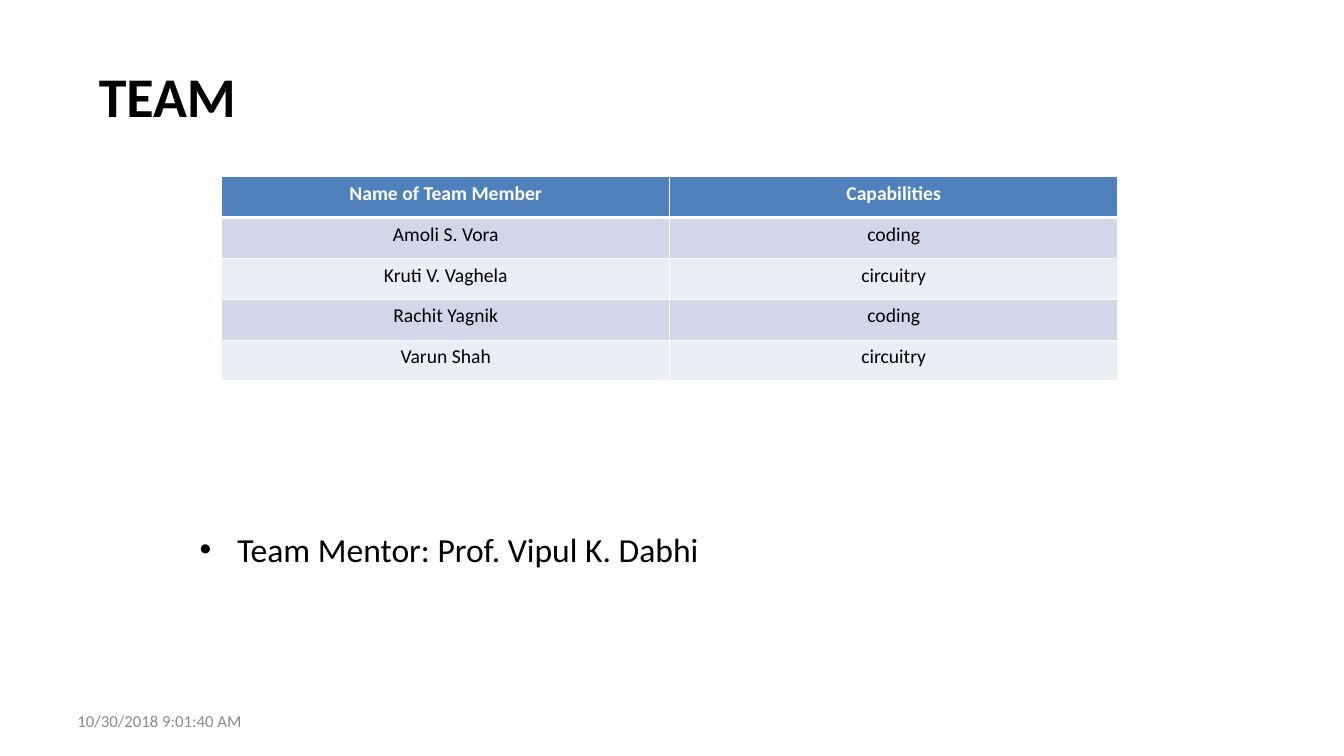
from lxml.etree import SubElement
from pptx import Presentation
from pptx.dml.color import RGBColor
from pptx.enum.text import MSO_ANCHOR, PP_ALIGN
from pptx.oxml.ns import qn
from pptx.util import Cm, Pt

TITLE = "TEAM"
TEAM = [
    ("Name of Team Member", "Capabilities"),
    ("Amoli S. Vora", "coding"),
    ("Kruti V. Vaghela", "circuitry"),
    ("Rachit Yagnik", "coding"),
    ("Varun Shah", "circuitry"),
]
MENTOR = "Team Mentor: Prof. Vipul K. Dabhi"
DATE = "10/30/2018 9:01:40 AM"

FONT = "Calibri"
BLACK = RGBColor(0x00, 0x00, 0x00)
WHITE = RGBColor(0xFF, 0xFF, 0xFF)
GRAY = RGBColor(0x8C, 0x8C, 0x8C)
HEADER_BLUE = RGBColor(0x4F, 0x81, 0xBD)
BANDS = [RGBColor(0xE9, 0xED, 0xF4), RGBColor(0xD0, 0xD8, 0xE8)]

COLUMN_WIDTH = Cm(11.29)
ROW_HEIGHT = Cm(1.03)


def style(para, size, color, bold=False):
    para.font.name = FONT
    para.font.size = Pt(size)
    para.font.color.rgb = color
    para.font.bold = bold


def add_text(page, text, place, size, color, anchor=MSO_ANCHOR.TOP, bold=False):
    box = page.shapes.add_textbox(*(Cm(length) for length in place))
    frame = box.text_frame
    frame.word_wrap = True
    frame.vertical_anchor = anchor
    para = frame.paragraphs[0]
    para.text = text
    style(para, size, color, bold)
    return frame


def add_bullet(para, indent):
    properties = para._p.get_or_add_pPr()
    properties.set("marL", str(indent))
    properties.set("indent", str(-indent))
    SubElement(properties, qn("a:buFont"), typeface="Arial")
    SubElement(properties, qn("a:buChar"), char="•")


def set_borders(cell, bottom_width):
    properties = cell._tc.get_or_add_tcPr()
    widths = {"a:lnL": 1, "a:lnR": 1, "a:lnT": 1, "a:lnB": bottom_width}
    for position, (side, width) in enumerate(widths.items()):
        line = SubElement(properties, qn(side), w=str(Pt(width)))
        fill = SubElement(line, qn("a:solidFill"))
        SubElement(fill, qn("a:srgbClr"), val=str(WHITE))
        properties.insert(position, line)


def add_team_table(page):
    columns = len(TEAM[0])
    table = page.shapes.add_table(
        len(TEAM), columns, Cm(5.59), Cm(4.45),
        COLUMN_WIDTH * columns, ROW_HEIGHT * len(TEAM)).table
    for row, texts in enumerate(TEAM):
        header = row == 0
        # The header's thick rule is also the top edge of the first body row.
        for column, text in enumerate(texts):
            cell = table.cell(row, column)
            cell.text = text
            cell.fill.solid()
            cell.fill.fore_color.rgb = HEADER_BLUE if header else BANDS[row % 2]
            para = cell.text_frame.paragraphs[0]
            para.alignment = PP_ALIGN.CENTER
            style(para, 14, WHITE if header else BLACK, header)
            set_borders(cell, 3 if header else 1)


def main():
    deck = Presentation()
    deck.slide_width, deck.slide_height = Cm(33.87), Cm(19.05)
    page = deck.slides.add_slide(deck.slide_layouts[6])

    add_text(page, TITLE, (2.24, 1.42, 23.88, 2.46), 40, BLACK, bold=True)
    mentor = add_text(page, MENTOR, (4.78, 10.64, 23.88, 4.78), 24, BLACK,
                      MSO_ANCHOR.BOTTOM)
    mentor.margin_bottom = Cm(1.07)
    mentor.paragraphs[0].alignment = PP_ALIGN.JUSTIFY
    add_bullet(mentor.paragraphs[0], Cm(0.95))
    add_text(page, DATE, (1.7, 17.65, 7.9, 1.02), 12, GRAY, MSO_ANCHOR.MIDDLE)
    add_team_table(page)

    deck.save("out.pptx")


if __name__ == "__main__":
    main()
